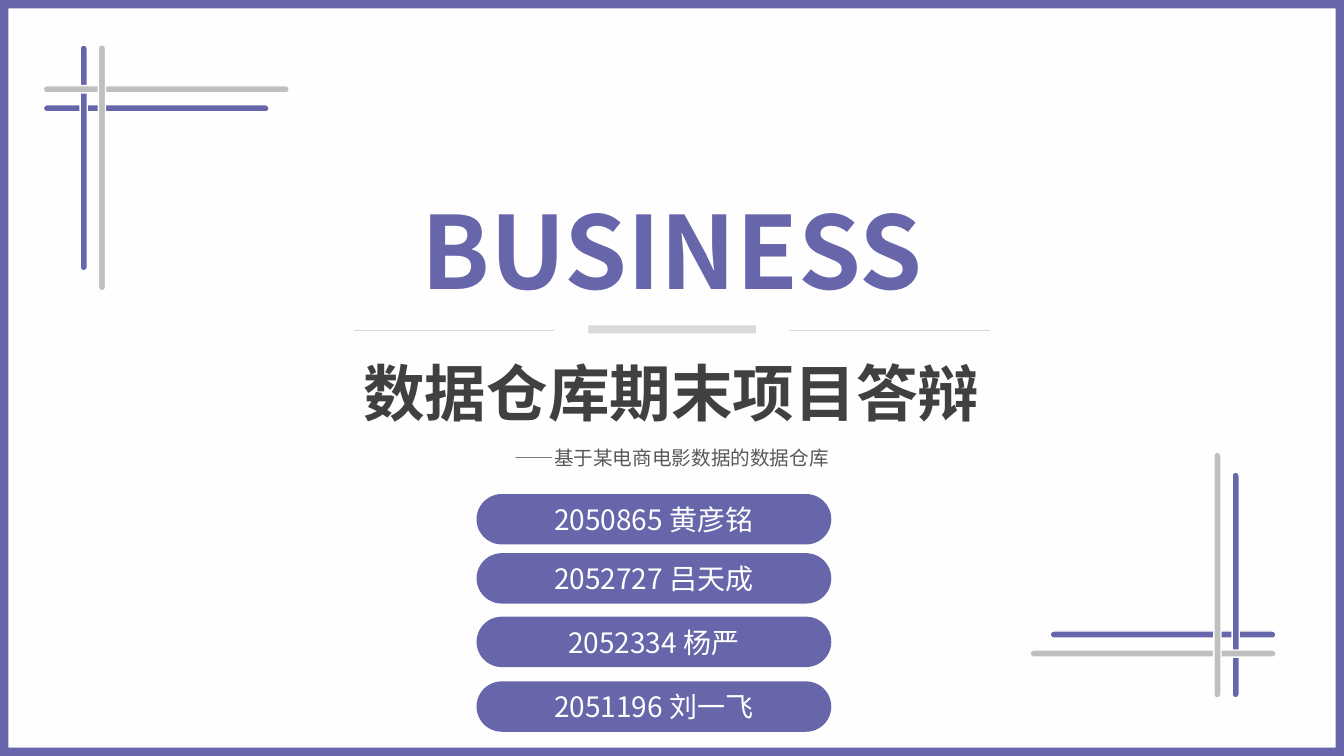
from typing import NamedTuple

from lxml.etree import SubElement
from pptx import Presentation
from pptx.dml.color import RGBColor
from pptx.enum.shapes import MSO_CONNECTOR, MSO_SHAPE
from pptx.enum.text import MSO_ANCHOR, MSO_AUTO_SIZE, PP_ALIGN
from pptx.oxml.ns import qn
from pptx.util import Cm, Pt

FONT = "Noto Sans CJK JP"
PURPLE, GREY, PALE, WHITE = "6866AB", "BFBFBF", "D9D9D9", "FEFEFE"
PAGE_W, PAGE_H = 33.87, 19.05


class Box(NamedTuple):
    left: float
    top: float
    width: float
    height: float


class Stroke(NamedTuple):
    x: float  # centre
    y: float
    length: float
    angle: int
    color: str


class Member(NamedTuple):
    top: float
    label: str


STROKES = [
    Stroke(3.94, 2.73, 5.69, 0, PURPLE),
    Stroke(2.11, 3.98, 5.69, 90, PURPLE),
    Stroke(4.19, 2.25, 6.2, 0, GREY),
    Stroke(2.57, 4.23, 6.2, 90, GREY),
]
STROKE_H = 0.18
# Sums of the centre coordinates of a stroke and its opposite one
TURN_X, TURN_Y = 33.25, 18.72

MEMBERS = [
    Member(12.45, "2050865 黄彦铭"),
    Member(13.94, "2052727 吕天成"),
    Member(15.54, "2052334 杨严"),
    Member(17.17, "2051196 刘一飞"),
]


def rgb(color: str) -> RGBColor:
    return RGBColor.from_string(color)


def place(sp, box: Box) -> None:
    sp.left, sp.top, sp.width, sp.height = map(Cm, box)


def write(sp, text: str, *, size: float, color: str, bold: bool = False,
          spacing: float = 1.0, anchor=MSO_ANCHOR.TOP) -> None:
    tf = sp.text_frame
    tf.word_wrap = True
    tf.auto_size = MSO_AUTO_SIZE.NONE
    tf.vertical_anchor = anchor
    p = tf.paragraphs[0]
    p.alignment = PP_ALIGN.CENTER
    p.line_spacing = spacing
    p.space_before = Pt(0)
    r = p.add_run()
    r.text = text
    r.font.size = Pt(size)
    r.font.bold = bold
    r.font.color.rgb = rgb(color)
    r.font.name = FONT
    SubElement(r._r.get_or_add_rPr(), qn("a:ea"), typeface=FONT)


def add_block(shapes, kind, box: Box, fill: str, adj: float | None = None,
              outline: str | None = None):
    sp = shapes.add_shape(kind, *map(Cm, box))
    sp.shadow.inherit = False
    sp.fill.solid()
    sp.fill.fore_color.rgb = rgb(fill)
    if adj is not None:
        sp.adjustments[0] = adj
    if outline:
        sp.line.color.rgb = rgb(outline)
        sp.line.width = Pt(1)
    else:
        sp.line.fill.background()
    return sp


def add_corner(s, turned: bool) -> None:
    """Draw the crossed strokes, turned by 180 degrees for the opposite corner."""
    group = s.shapes.add_group_shape()
    for st in STROKES:
        x, y = (TURN_X - st.x, TURN_Y - st.y) if turned else (st.x, st.y)
        box = Box(x - st.length / 2, y - STROKE_H / 2, st.length, STROKE_H)
        sp = add_block(group.shapes, MSO_SHAPE.ROUNDED_RECTANGLE, box,
                       st.color, 0.5, WHITE)
        sp.rotation = st.angle + (180 if turned else 0)


def add_divider(s) -> None:
    group = s.shapes.add_group_shape()
    add_block(group.shapes, MSO_SHAPE.RECTANGLE, Box(14.83, 8.2, 4.22, 0.2), PALE)
    y = Cm(8.33)
    for x in (19.89, 8.92):
        line = group.shapes.add_connector(
            MSO_CONNECTOR.STRAIGHT, Cm(x), y, Cm(x + 5.05), y)
        line.line.color.rgb = rgb(PALE)
        line.line.width = Pt(0.5)
        SubElement(line._element.spPr, qn("a:effectLst"))


def main() -> None:
    prs = Presentation()
    prs.slide_width, prs.slide_height = Cm(PAGE_W), Cm(PAGE_H)
    s = prs.slides.add_slide(prs.slide_layouts[0])
    s.background.fill.solid()
    s.background.fill.fore_color.rgb = rgb(WHITE)

    title, subtitle = s.shapes.title, s.placeholders[1]
    place(title, Box(4.9, 8.81, 24.05, 2.13))
    write(title, "数据仓库期末项目答辩", size=44, color="404040", bold=True)
    place(subtitle, Box(7.37, 10.82, 19.13, 1.04))
    write(subtitle, "——基于某电商电影数据的数据仓库", size=14,
          color="595959", spacing=1.5)

    for turned in (False, True):
        add_corner(s, turned)

    banner = s.shapes.add_textbox(*map(Cm, Box(8.84, 4.62, 16.18, 3.33)))
    write(banner, "BUSINESS", size=72, color=PURPLE, bold=True)
    add_divider(s)
    add_block(s.shapes, MSO_SHAPE.FRAME, Box(0, 0, PAGE_W, PAGE_H), PURPLE, 0.011)

    for member in MEMBERS:
        pill = add_block(s.shapes, MSO_SHAPE.ROUNDED_RECTANGLE,
                         Box(12.01, member.top, 8.94, 1.27), PURPLE, 0.5)
        write(pill, member.label, size=20, color="FFFFFF", anchor=MSO_ANCHOR.MIDDLE)

    prs.save("out.pptx")


if __name__ == "__main__":
    main()
